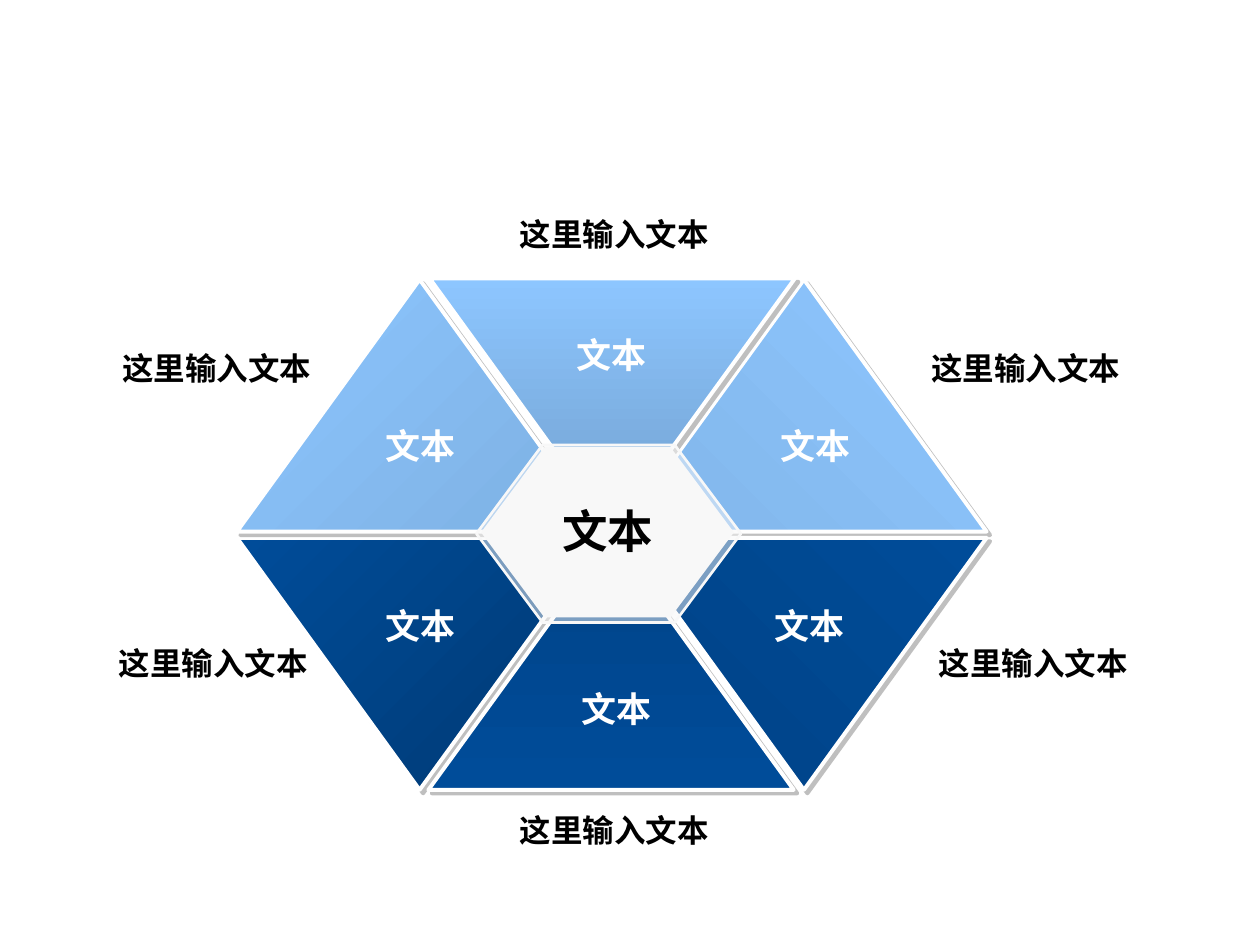
from lxml import etree
from pptx import Presentation
from pptx.dml.color import RGBColor
from pptx.enum.shapes import MSO_SHAPE
from pptx.enum.text import MSO_AUTO_SIZE, PP_ALIGN
from pptx.oxml.ns import qn
from pptx.util import Pt

TRIANGLE, HEXAGON = MSO_SHAPE.ISOSCELES_TRIANGLE, MSO_SHAPE.HEXAGON
CENTER, GROW = PP_ALIGN.CENTER, MSO_AUTO_SIZE.SHAPE_TO_FIT_TEXT
WHITE, BLACK, PALE = "FFFFFF", "000000", "F8F8F8"
GREY, MID_GREY = "BFBFBF", "808080"
TRIANGLE_SIZE = (208.8, 144)

# left, top, points down, start colour, end colour, counter-clockwise angle, shadow colour, shadow opacity
SECTORS = [
    (135.4, 307.4, True, "004C99", "003972", 45, GREY, 100),
    (355, 159.8, False, "82B6EA", "8DC6FF", 45, GREY, 100),
    (135.4, 159.8, False, "8DC6FF", "7DB0E2", 315, GREY, 100),
    (245.5, 159.1, True, "719FCD", "8DC6FF", 270, MID_GREY, 50),
    (244.8, 307.4, False, "004388", "004C99", 270, GREY, 100),
    (355, 307.4, True, "004285", "004C99", 315, GREY, 100),
]
HUB = [
    ((272.2, 254.2, 151.2, 101.5), 0.373, 50),
    ((275.8, 256.3, 142.6, 95.8), 0.372, 100),
]
# text, font size, colour, box width, box height, left and top of each box
TEXTS = [
    ("文本", 20, WHITE, 113, 31.7, [
        (293, 187.2), (409.7, 239), (183.6, 239), (183.6, 342), (406, 342), (295.9, 389.5)]),
    ("这里输入文本", 18, BLACK, 131, 28.8, [
        (58.3, 195.8), (520.6, 195.8), (56.2, 364.3), (524.9, 364.3)]),
    ("这里输入文本", 18, BLACK, 157.7, 28.8, [(272.2, 119.5), (272.2, 460)]),
    ("文本", 26, BLACK, 101.5, 38.9, [(296.6, 283.7)]),
]


def color(value):
    return RGBColor.from_string(value)


def add_outlined(shapes, kind, box, line_color, line_width):
    shape = shapes.add_shape(kind, *map(Pt, box))
    shape.line.color.rgb = color(line_color)
    shape.line.width = Pt(line_width)
    shape.shadow.inherit = False
    return shape


def add_alpha(color_element, percent):
    etree.SubElement(color_element, qn("a:alpha"), val=str(percent * 1000))


def add_sector(shapes, left, top, down, start, end, angle, shadow_color, opacity):
    shape = add_outlined(shapes, TRIANGLE, (left, top, *TRIANGLE_SIZE), WHITE, 2.25)
    shape.fill.gradient()
    shape.fill.gradient_angle = angle
    for stop, value in zip(shape.fill.gradient_stops, (start, end)):
        stop.color.rgb = color(value)
    properties = shape._element.spPr
    if down:
        properties.find(qn("a:xfrm")).set("flipV", "1")
    shadow = etree.SubElement(
        properties.find(qn("a:effectLst")), qn("a:outerShdw"),
        blurRad="0", dist=str(Pt(2.8)), dir="2700000", algn="ctr", rotWithShape="0")
    add_alpha(etree.SubElement(shadow, qn("a:srgbClr"), val=shadow_color), opacity)


def add_hexagon(shapes, box, adjustment, opacity):
    shape = add_outlined(shapes, HEXAGON, box, PALE, 1.5)
    shape.adjustments[0] = adjustment
    shape.fill.solid()
    shape.fill.fore_color.rgb = color(PALE)
    if opacity < 100:
        fill = shape._element.spPr.find(qn("a:solidFill"))
        add_alpha(fill.find(qn("a:srgbClr")), opacity)


def add_text(shapes, box, text, size, text_color):
    frame = shapes.add_textbox(*map(Pt, box)).text_frame
    frame.word_wrap = True
    frame.auto_size = GROW
    paragraph = frame.paragraphs[0]
    paragraph.alignment = CENTER
    run = paragraph.add_run()
    run.text = text
    run.font.name = "Arial"
    run.font.size = Pt(size)
    run.font.bold = True
    run.font.color.rgb = color(text_color)


def main():
    """Build a six-part hexagon diagram with a central hub and outer labels."""
    presentation = Presentation()
    presentation.slide_width, presentation.slide_height = Pt(720), Pt(540)
    slide = presentation.slides.add_slide(presentation.slide_layouts[6])
    for sector in SECTORS:
        add_sector(slide.shapes, *sector)
    hub = slide.shapes.add_group_shape()
    for hexagon in HUB:
        add_hexagon(hub.shapes, *hexagon)
    for text, size, text_color, width, height, places in TEXTS:
        for left, top in places:
            add_text(slide.shapes, (left, top, width, height), text, size, text_color)
    presentation.save("out.pptx")


if __name__ == "__main__":
    main()
